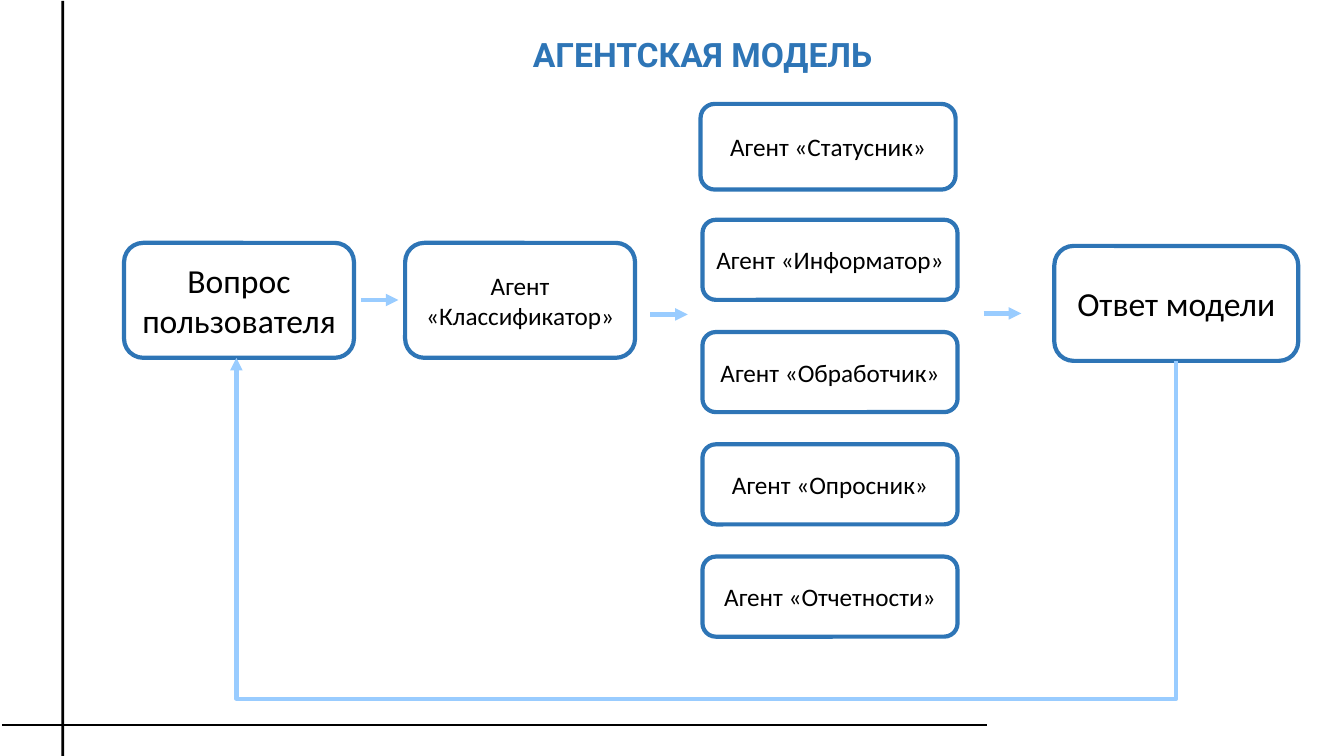
import pptx
import pptx.util
import pptx.dml.color
import pptx.enum.shapes
import pptx.enum.text
import pptx.oxml
import pptx.oxml.ns

Pt = pptx.util.Pt
RGB = pptx.dml.color.RGBColor
SHAPE = pptx.enum.shapes.MSO_SHAPE
LINE = pptx.enum.shapes.MSO_CONNECTOR
ANCHOR = pptx.enum.text.MSO_ANCHOR
CENTER = pptx.enum.text.PP_ALIGN.CENTER

# Content: text, font size, box (left, top, width, height)
TITLE = "АГЕНТСКАЯ МОДЕЛЬ"
QUERY = ("Вопрос пользователя", 24, (88.6, 173.5, 164.2, 82.1))
ROUTER = ("Агент «Классификатор»", 18, (289.4, 173.5, 164.2, 82.1))
REPLY = ("Ответ модели", 24, (753.1, 175.7, 174.2, 82.1))
STATUS = ("Агент «Статусник»", 18, (500.4, 74.2, 182.2, 61.2))
AGENTS = ["Агент «Информатор»", "Агент «Обработчик»",
          "Агент «Опросник»", "Агент «Отчетности»"]
ARROWS = [(257.8, 214.3), (464.4, 224.6), (702.7, 223.9)]

BLUE = RGB(0x2E, 0x75, 0xB6)
SKY = RGB(0x99, 0xCC, 0xFF)
BLACK = RGB(0, 0, 0)
WHITE = RGB(255, 255, 255)

COL_X, COL_Y, COL_W, COL_H, STEP = 501.8, 157, 182.2, 57.2, 80.2
ARROW_W = 26.8
LOOP_Y = 499

deck = pptx.Presentation()
deck.slide_width, deck.slide_height = Pt(960), Pt(540)
slide = deck.slides.add_slide(deck.slide_layouts[5])
shapes = slide.shapes


def write(frame, text, size, font, color, bold=False):
    para = frame.paragraphs[0]
    para.alignment = CENTER
    run = para.add_run()
    run.text = text
    run.font.size = Pt(size)
    run.font.name = font
    run.font.bold = bold
    run.font.color.rgb = color


def add_box(text, size, place):
    box = shapes.add_shape(SHAPE.ROUNDED_RECTANGLE, *map(Pt, place))
    box.shadow.inherit = False
    box.fill.solid()
    box.fill.fore_color.rgb = WHITE
    box.line.color.rgb = BLUE
    box.line.width = Pt(3)
    box.text_frame.word_wrap = True
    box.text_frame.vertical_anchor = ANCHOR.MIDDLE
    write(box.text_frame, text, size, "Calibri", BLACK)


def add_line(x1, y1, x2, y2):
    link = shapes.add_connector(LINE.STRAIGHT, Pt(x1), Pt(y1), Pt(x2), Pt(y2))
    pptx.oxml.ns.qn("a:effectLst")
    link.line.width = Pt(1.5)
    link.line.color.rgb = BLACK
    link._element.spPr.append(link._element.spPr.makeelement(
        pptx.oxml.ns.qn("a:effectLst"), {}))
    return link


def point(shape):
    """Give the line the arrow style with a head at its end."""
    shape.line.color.rgb = SKY
    shape.line.width = Pt(3)
    line = shape.line._get_or_add_ln()
    line.append(line.makeelement(
        pptx.oxml.ns.qn("a:tailEnd"), {"type": "triangle"}))


# Frame lines
add_line(1.4, 517.7, 704.9, 517.7)
bar = shapes.add_shape(SHAPE.RECTANGLE, Pt(43.9), Pt(0.7), Pt(2), Pt(539.3))
bar.shadow.inherit = False
bar.fill.solid()
bar.fill.fore_color.rgb = BLACK
bar.line.fill.background()

# Title
title = shapes.title
title.left, title.top, title.width, title.height = map(
    Pt, (75.6, 20.9, 852.5, 36))
title.text_frame.vertical_anchor = ANCHOR.TOP
title.text_frame.auto_size = pptx.enum.text.MSO_AUTO_SIZE.NONE
write(title.text_frame, TITLE, 24, "Roboto", BLUE, True)

# Boxes
for item in (QUERY, ROUTER, STATUS, REPLY):
    add_box(*item)
for i, name in enumerate(AGENTS):
    add_box(name, 18, (COL_X, COL_Y + i * STEP, COL_W, COL_H))

# Arrows between steps
for x, y in ARROWS:
    point(add_line(x, y, x + ARROW_W, y))

# Loop from the reply back to the query
left, top, width, height = REPLY[2]
start = left + width / 2
end = 168.9
base = QUERY[2][1] + QUERY[2][3]
path = shapes.build_freeform(Pt(start), Pt(top + height))
path.add_line_segments(
    [(Pt(start), Pt(LOOP_Y)), (Pt(end), Pt(LOOP_Y)), (Pt(end), Pt(base))],
    close=False)
loop = path.convert_to_shape()
loop.shadow.inherit = False
loop.fill.background()
point(loop)

deck.save("out.pptx")
